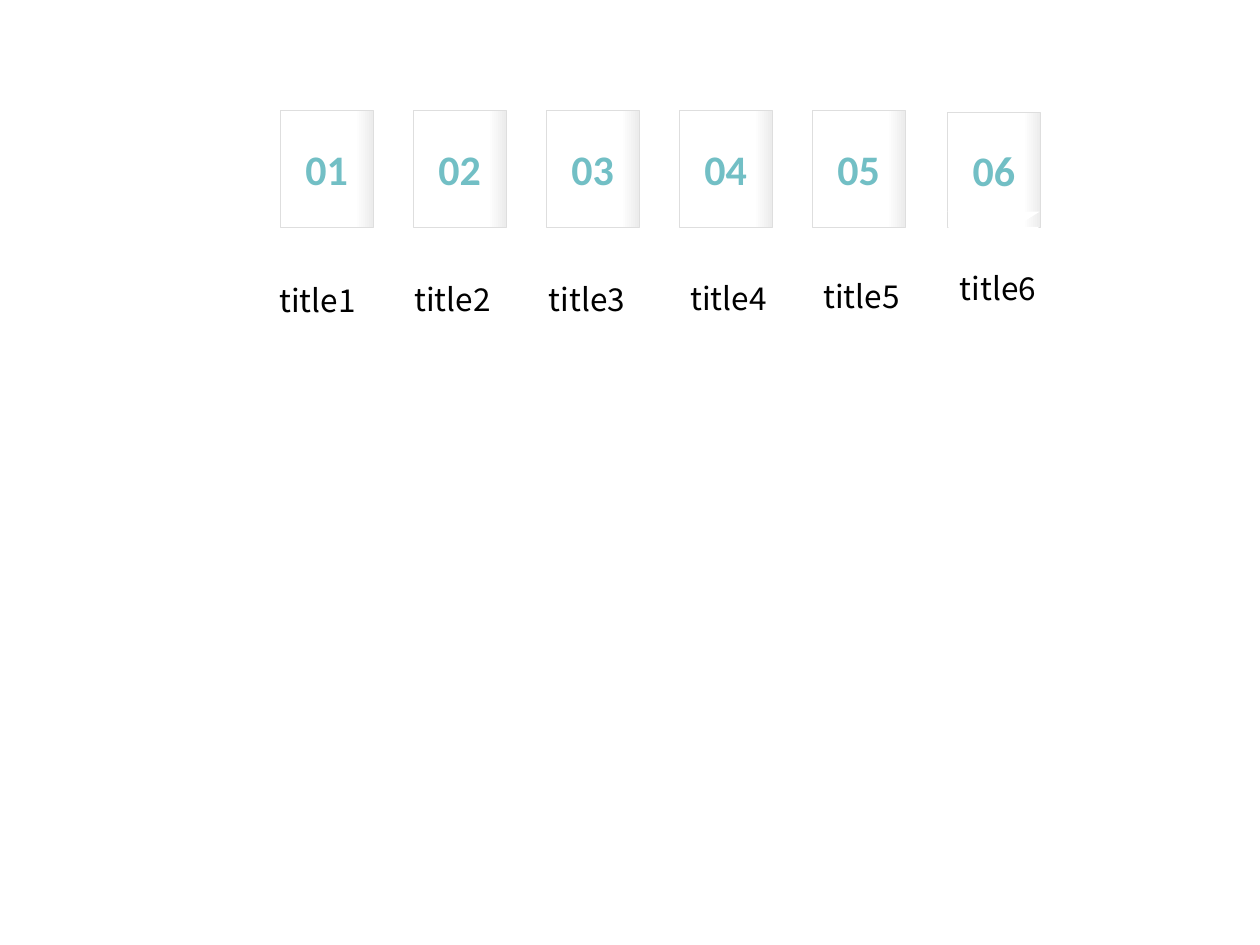
from pptx import Presentation
from pptx.dml.color import RGBColor
from pptx.enum.shapes import MSO_SHAPE
from pptx.enum.text import MSO_ANCHOR, MSO_AUTO_SIZE, PP_ALIGN
from pptx.util import Pt

RECTANGLE = MSO_SHAPE.RECTANGLE
TRIANGLE = MSO_SHAPE.ISOSCELES_TRIANGLE
MIDDLE = MSO_ANCHOR.MIDDLE
CENTER = PP_ALIGN.CENTER
GROW = MSO_AUTO_SIZE.SHAPE_TO_FIT_TEXT

WHITE, EDGE, SHADE, TEAL, BLACK = "FFFFFF", "DEDEDE", "ECECEC", "72BFC5", "000000"

CARD_LEFT, CARD_PITCH, CARD_TOP, CARD_WIDTH, CARD_HEIGHT = 160, 76, 62.8, 53.2, 67
FOLD_WIDTH = 52.6
LAST_CARD = (541.4, 64, CARD_WIDTH, 65.8)

# Top and height of the folds under each card
FOLDS = [[(131, 17.2)]] * 4 + [[(132.5, 14.4)], [(121, 16.6), (129.6, 16.6), (133.2, 16.6)]]

# Left and top of each title
TITLES = [(152.6, 157), (229.7, 156.3), (306.5, 156.3),
          (387.4, 155.9), (463.4, 154.8), (541.4, 150)]
TITLE_WIDTH, TITLE_HEIGHT = 62.4, 51


def color(code):
    return RGBColor.from_string(code)


def write(frame, text, *, size, font, ink, bold=False, align=None):
    paragraph = frame.paragraphs[0]
    paragraph.alignment = align
    run = paragraph.add_run()
    run.text = text
    run.font.size = Pt(size)
    run.font.name = font
    run.font.bold = bold
    run.font.color.rgb = color(ink)


def add_card(slide, box, number, folds):
    # Card with a shaded right edge
    card = slide.shapes.add_shape(RECTANGLE, *map(Pt, box))
    card.shadow.inherit = False
    card.fill.gradient()
    card.fill.gradient_angle = 0
    shading = ((0.81, WHITE), (1, SHADE))
    for stop, (position, code) in zip(card.fill.gradient_stops, shading):
        stop.position = position
        stop.color.rgb = color(code)
    card.line.color.rgb = color(EDGE)
    card.line.width = Pt(0.25)
    card.text_frame.vertical_anchor = MIDDLE
    write(card.text_frame, number, size=24, font="Calibri", ink=TEAL, bold=True, align=CENTER)

    # White folds pointing down
    for top, height in folds:
        fold = slide.shapes.add_shape(TRIANGLE, *map(Pt, (box[0], top, FOLD_WIDTH, height)))
        fold.rotation = 180
        fold.shadow.inherit = False
        fold.fill.solid()
        fold.fill.fore_color.rgb = color(WHITE)
        fold.line.fill.background()


def add_title(slide, box, text):
    frame = slide.shapes.add_textbox(*map(Pt, box)).text_frame
    frame.word_wrap = True
    frame.auto_size = GROW
    write(frame, text, size=18, font="Noto Sans CJK SC", ink=BLACK)


def main():
    deck = Presentation()
    deck.slide_width, deck.slide_height = Pt(720), Pt(540)
    slide = deck.slides.add_slide(deck.slide_layouts[6])

    # Numbered cards: five on an even pitch, the last set apart
    cards = [(CARD_LEFT + i * CARD_PITCH, CARD_TOP, CARD_WIDTH, CARD_HEIGHT) for i in range(5)]
    cards.append(LAST_CARD)
    for number, (box, folds) in enumerate(zip(cards, FOLDS), 1):
        add_card(slide, box, f"{number:02}", folds)

    # Titles below the cards
    for number, (left, top) in enumerate(TITLES, 1):
        add_title(slide, (left, top, TITLE_WIDTH, TITLE_HEIGHT), f"title{number}")

    deck.save("out.pptx")


if __name__ == "__main__":
    main()
